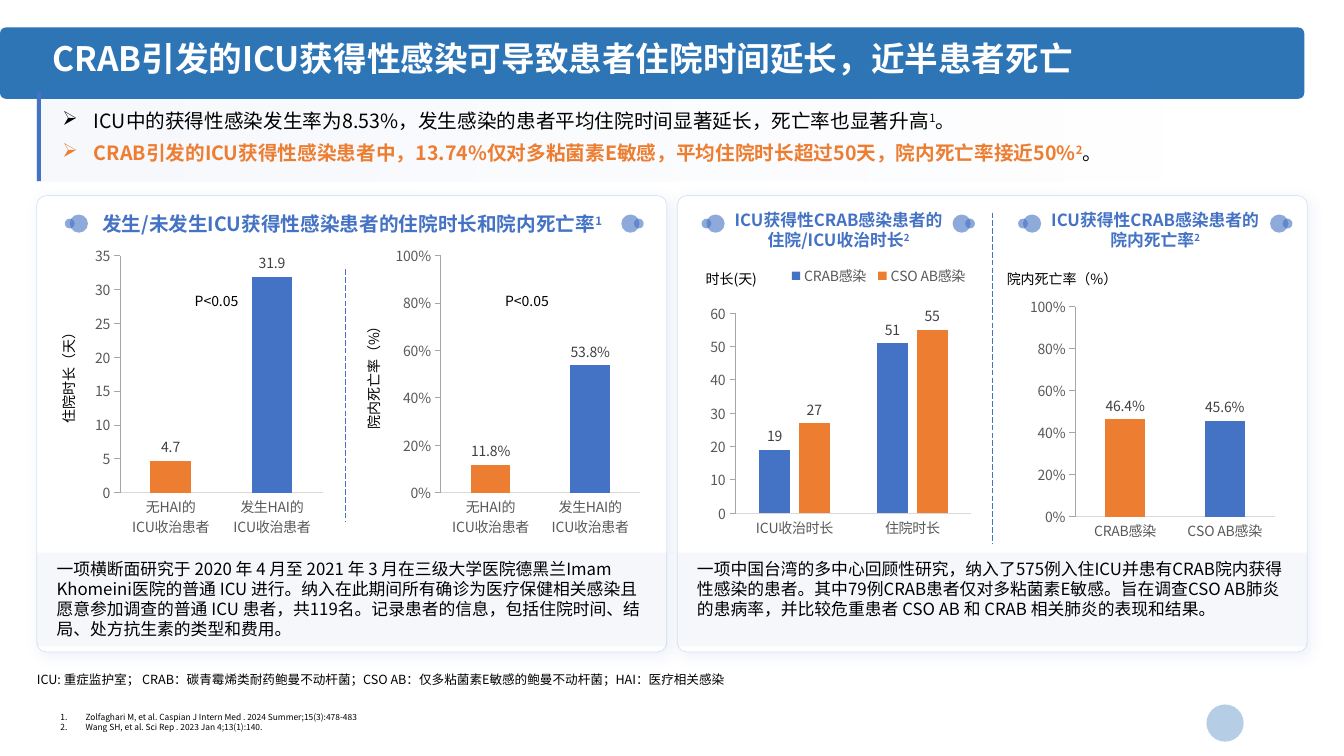
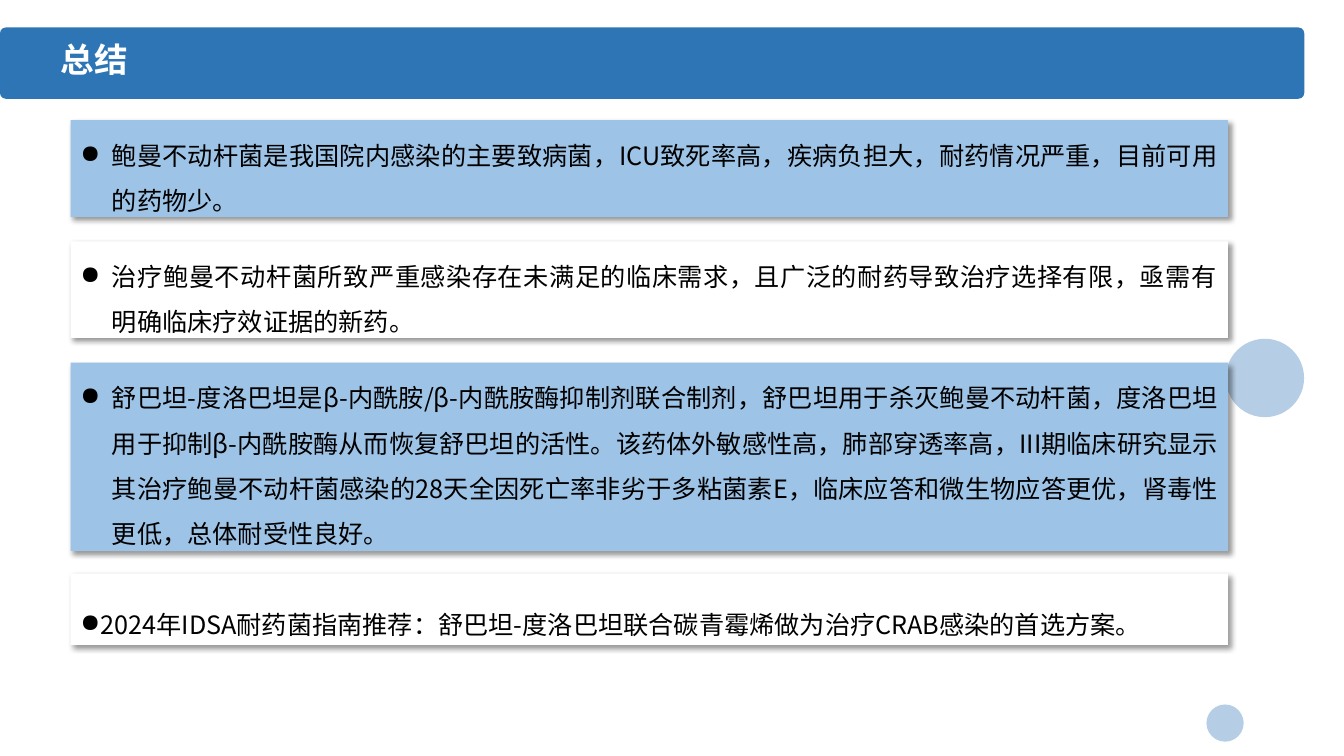
from dataclasses import dataclass
from typing import NamedTuple

from lxml.etree import SubElement
from pptx import Presentation
from pptx.chart.data import CategoryChartData
from pptx.dml.color import RGBColor
from pptx.enum.chart import XL_CHART_TYPE, XL_LABEL_POSITION, XL_LEGEND_POSITION, XL_TICK_MARK
from pptx.enum.dml import MSO_LINE
from pptx.enum.shapes import MSO_CONNECTOR, MSO_SHAPE
from pptx.enum.text import MSO_ANCHOR, MSO_AUTO_SIZE, PP_ALIGN
from pptx.oxml.ns import qn
from pptx.util import Pt


@dataclass(frozen=True)
class Theme:
    font: str = "Noto Sans CJK SC"
    header: str = "2E75B6"
    blue: str = "4472C4"
    orange: str = "ED7D31"
    pale_blue: str = "9DC3E6"
    card_line: str = "DAE3F3"
    white: str = "FFFFFF"
    black: str = "000000"
    label: str = "404040"
    axis_text: str = "595959"
    value_line: str = "A6A6A6"
    category_line: str = "D9D9D9"
    title_size: int = 24
    summary_size: int = 18
    lead_size: int = 14
    body_size: int = 12
    chart_size: int = 10
    note_size: int = 9
    reference_size: int = 6


THEME = Theme()


class Box(NamedTuple):
    left: float
    top: float
    width: float
    height: float

    def region(self, left, top, width, height):
        """Return a box whose position is measured from this one's corner."""
        return Box(self.left + left, self.top + top, width, height)

    def lengths(self):
        return [Pt(value) for value in self]


def color(code):
    return RGBColor.from_string(code)


def set_alpha(shape, *percents):
    for element, percent in zip(shape._element.spPr.iter(qn("a:srgbClr")), percents):
        SubElement(element, qn("a:alpha"), val=str(percent * 1000))


def add_panel(slide, box, fill, kind=MSO_SHAPE.RECTANGLE, alpha=None, line=None, radius=None, shadow=None):
    """Add a filled shape; shadow is (colour, opacity, blur, distance)."""
    shape = slide.shapes.add_shape(kind, *box.lengths())
    shape.fill.solid()
    shape.fill.fore_color.rgb = color(fill)
    if radius is not None:
        shape.adjustments[0] = radius
    if line:
        shape.line.color.rgb = color(line)
        shape.line.width = Pt(0.5)
    else:
        shape.line.fill.background()
    if alpha is not None:
        set_alpha(shape, alpha)
    shape.shadow.inherit = False
    if shadow:
        tint, opacity, blur, distance = shadow
        effects = shape._element.spPr.find(qn("a:effectLst"))
        outer = SubElement(effects, qn("a:outerShdw"), blurRad=str(Pt(blur)), dist=str(Pt(distance)),
                           dir="2700000", algn="tl", rotWithShape="0")
        tint_element = SubElement(outer, qn("a:srgbClr"), val=tint)
        SubElement(tint_element, qn("a:alpha"), val=str(opacity * 1000))
    return shape


def set_bullet(paragraph, bullet, indent):
    properties = paragraph._p.get_or_add_pPr()
    properties.set("marL", str(Pt(indent)))
    properties.set("indent", str(Pt(-indent)))
    if bullet == "1.":
        SubElement(properties, qn("a:buAutoNum"), type="arabicPeriod")
    else:
        SubElement(properties, qn("a:buChar"), char=bullet)


def write(frame, paragraphs, size, ink=THEME.black, bold=False, align=PP_ALIGN.LEFT, spacing=None,
          after=None, bullet=None, indent=0, anchor=MSO_ANCHOR.TOP, wrap=True, grow=False, inset=True):
    """Fill a frame; a paragraph is a string or a list of strings and (string, changes) runs."""
    frame.word_wrap = wrap
    frame.auto_size = MSO_AUTO_SIZE.SHAPE_TO_FIT_TEXT if grow else MSO_AUTO_SIZE.NONE
    frame.vertical_anchor = anchor
    if not inset:
        frame.margin_left = frame.margin_right = frame.margin_top = frame.margin_bottom = 0
    for index, content in enumerate(paragraphs):
        paragraph = frame.add_paragraph() if index else frame.paragraphs[0]
        if bullet:
            set_bullet(paragraph, bullet, indent)
        paragraph.alignment = align
        if spacing:
            paragraph.line_spacing = spacing
        if after:
            paragraph.space_after = Pt(after)
        for item in [content] if isinstance(content, str) else content:
            text, changes = (item, {}) if isinstance(item, str) else item
            run = paragraph.add_run()
            run.text = text
            run.font.size = Pt(size)
            run.font.bold = changes.get("bold", bold)
            run.font.color.rgb = color(changes.get("ink", ink))
            run.font.name = THEME.font
            properties = run._r.get_or_add_rPr()
            SubElement(properties, qn("a:ea"), typeface=THEME.font)
            if changes.get("raised"):
                properties.set("baseline", "30000")


def add_text(slide, box, paragraphs, rotation=0, **text_format):
    shape = slide.shapes.add_textbox(*box.lengths())
    shape.rotation = rotation
    write(shape.text_frame, paragraphs, **text_format)


def raised(text, **changes):
    return text, {"raised": True, **changes}


def add_chart_label(slide, box, text, **text_format):
    add_text(slide, box, [text], size=THEME.chart_size, align=PP_ALIGN.CENTER, grow=True, **text_format)


def add_heading(slide, box, paragraphs, size):
    add_text(slide, box, paragraphs, size=size, ink=THEME.blue, bold=True,
             align=PP_ALIGN.CENTER, wrap=False, grow=True)


def add_dots(slide, card, left, right):
    """Place mirrored pairs of dots on both sides of a heading."""
    for start, large, small in ((left, 3.5, 0), (right, 0, 9)):
        for offset, size in ((large, 13), (small, 7)):
            add_panel(slide, card.region(start + offset, 20 - size / 2, size, size),
                      THEME.blue, MSO_SHAPE.OVAL, alpha=60)


def add_divider(slide, card, x, top, bottom):
    line = slide.shapes.add_connector(MSO_CONNECTOR.STRAIGHT, Pt(card.left + x), Pt(card.top + top),
                                      Pt(card.left + x), Pt(card.top + bottom))
    line.line.color.rgb = color(THEME.blue)
    line.line.width = Pt(0.5)
    line.line.dash_style = MSO_LINE.LONG_DASH
    SubElement(line._element.spPr, qn("a:effectLst"))


def set_layout(element, position, inner=False):
    """Give a plot area or legend a manual layout in fractions of the chart."""
    for old in element.findall(qn("c:layout")):
        element.remove(old)
    layout = SubElement(element, qn("c:layout"))
    manual = SubElement(layout, qn("c:manualLayout"))
    if inner:
        SubElement(manual, qn("c:layoutTarget"), val="inner")
    for name in ("xMode", "yMode"):
        SubElement(manual, qn(f"c:{name}"), val="edge")
    for name, value in zip("xywh", position):
        SubElement(manual, qn(f"c:{name}"), val=str(value))
    element.remove(layout)
    element.insert(0 if inner else 1, layout)


def style_font(font, ink):
    font.name = THEME.font
    font.size = Pt(THEME.chart_size)
    font.color.rgb = color(ink)


def style_axis(axis, tick, line, number_format=None):
    axis.has_major_gridlines = False
    axis.major_tick_mark = tick
    axis.minor_tick_mark = XL_TICK_MARK.NONE
    axis.format.line.color.rgb = color(line)
    axis.format.line.width = Pt(0.75)
    style_font(axis.tick_labels.font, THEME.axis_text)
    if number_format:
        axis.tick_labels.number_format = number_format
        axis.tick_labels.number_format_is_linked = False


def add_columns(slide, box, categories, series, plot, top, step, axis_format="0", label_format="0", legend=None):
    """Add a column chart; one series gets an orange first column, two get a colour each."""
    data = CategoryChartData()
    data.categories = categories
    for name, values in series:
        data.add_series(name, values)
    chart = slide.shapes.add_chart(XL_CHART_TYPE.COLUMN_CLUSTERED, *box.lengths(), data).chart
    chart.has_title = False
    style_font(chart.font, THEME.black)
    style_axis(chart.category_axis, XL_TICK_MARK.NONE, THEME.category_line)
    style_axis(chart.value_axis, XL_TICK_MARK.OUTSIDE, THEME.value_line, axis_format)
    chart.value_axis.minimum_scale = 0
    chart.value_axis.maximum_scale = top
    chart.value_axis.major_unit = step
    columns = chart.plots[0]
    columns.gap_width = 150
    columns.overlap = -27
    columns.vary_by_categories = False
    for item, fill in zip(columns.series, (THEME.blue, THEME.orange)):
        item.format.fill.solid()
        item.format.fill.fore_color.rgb = color(fill)
        labels = item.data_labels
        labels.show_value = True
        labels.position = XL_LABEL_POSITION.OUTSIDE_END
        labels.number_format = label_format
        labels.number_format_is_linked = False
        style_font(labels.font, THEME.label)
    if len(series) == 1:
        first = columns.series[0].points[0].format.fill
        first.solid()
        first.fore_color.rgb = color(THEME.orange)
    set_layout(chart._chartSpace.chart.plotArea, plot, inner=True)
    chart.has_legend = legend is not None
    if legend:
        chart.legend.position = XL_LEGEND_POSITION.TOP
        chart.legend.include_in_layout = False
        style_font(chart.legend.font, THEME.axis_text)
        set_layout(chart.legend._element, legend)


def add_frame(presentation, title, title_box, large_dot=False):
    """Add a slide with the shared header band, title and corner dots."""
    slide = presentation.slides.add_slide(presentation.slide_layouts[6])
    add_panel(slide, Box(0, 19.6, 931.7, 51), THEME.header, MSO_SHAPE.ROUNDED_RECTANGLE, radius=0.085)
    dots = [Box(861.8, 503.2, 26.6, 26.6)]
    if large_dot:
        dots.append(Box(875.5, 242, 56, 56))
    for dot in dots:
        add_panel(slide, dot, THEME.header, MSO_SHAPE.OVAL, alpha=35)
    add_text(slide, title_box, [title], size=THEME.title_size, ink=THEME.white, bold=True,
             spacing=0.9, inset=False)
    return slide


def add_lead(slide, box):
    band = add_panel(slide, box, THEME.blue)
    band.fill.gradient()
    band.fill.gradient_angle = 0
    for stop in band.fill.gradient_stops:
        stop.color.rgb = color(THEME.blue)
    set_alpha(band, 5, 0)
    add_panel(slide, box.region(0, 0, 3, box.height), THEME.blue)
    strong = {"ink": THEME.orange, "bold": True}
    add_text(slide, box.region(11.2, 8.4, 908, 47.5), [
        ["ICU中的获得性感染发生率为8.53%，发生感染的患者平均住院时间显著延长，死亡率也显著升高", raised("1"), "。"],
        [("CRAB引发的ICU获得性感染患者中，13.74%仅对多粘菌素E敏感，平均住院时长超过50天，院内死亡率接近50%", strong),
         raised("2", **strong), "。"],
    ], size=THEME.lead_size, after=6, bullet="➢", indent=22.5)


def add_card(slide, box, summary):
    add_panel(slide, box, THEME.white, MSO_SHAPE.ROUNDED_RECTANGLE, line=THEME.card_line,
              radius=0.021, shadow=(THEME.blue, 10, 10, 3))
    add_panel(slide, box.region(0, 255, box.width, 67), THEME.blue, alpha=5)
    add_text(slide, box.region(7, 255.6, 435, 65.5), [summary], size=THEME.body_size)


def add_infection_card(slide, card):
    add_card(slide, card, "一项横断面研究于 2020 年 4 月至 2021 年 3 月在三级大学医院德黑兰Imam Khomeini医院的普通 ICU 进行。纳入在此期间所有确诊为医疗保健相关感染且愿意参加调查的普通 ICU 患者，共119名。记录患者的信息，包括住院时间、结局、处方抗生素的类型和费用。")
    add_heading(slide, card.region(36.6, 7.9, 377.3, 24.5),
                [["发生/未发生ICU获得性感染患者的住院时长和院内死亡率", raised("1")]], THEME.lead_size)
    categories = ["无HAI的\nICU收治患者", "发生HAI的\nICU收治患者"]
    add_columns(slide, card.region(36.7, 30.2, 170, 230.4), categories, [("住院时长", (4.7, 31.9))],
                (0.134, 0.055, 0.851, 0.736), 35, 5, label_format="0.0")
    add_columns(slide, card.region(243.3, 30.2, 188, 230.4), categories, [("院内死亡率", (0.118, 0.538))],
                (0.241, 0.055, 0.759, 0.736), 1, 0.2, "0%", "0.0%")
    for text, axis_left, value_left in (("住院时长（天）", -56.3, 104.3), ("院内死亡率（%）", 161.2, 326)):
        add_chart_label(slide, card.region(axis_left, 118, 159, 19.4), text, rotation=270)
        add_chart_label(slide, card.region(value_left, 65.5, 48.2, 19.4), "P<0.05", wrap=False)
    add_divider(slide, card, 220.2, 52.6, 232.6)
    add_dots(slide, card, 20, 417.5)


def add_crab_card(slide, card):
    add_card(slide, card, "一项中国台湾的多中心回顾性研究，纳入了575例入住ICU并患有CRAB院内获得性感染的患者。其中79例CRAB患者仅对多粘菌素E敏感。旨在调查CSO AB肺炎的患病率，并比较危重患者 CSO AB 和 CRAB 相关肺炎的表现和结果。")
    groups = ["CRAB感染", "CSO AB感染"]
    add_columns(slide, card.region(18, 38.2, 195, 239), ["ICU收治时长", "住院时长"],
                list(zip(groups, ((19, 51), (27, 55)))), (0.121, 0.192, 0.864, 0.598), 60, 10,
                legend=(0.3, 0.04, 0.69, 0.08))
    add_columns(slide, card.region(239, 44.6, 188, 232.6), groups, [("院内死亡率", (0.464, 0.456))],
                (0.241, 0.149, 0.759, 0.646), 1, 0.2, "0%", "0.0%")
    for measure, left, dots in (("住院/ICU收治时长", 31.7, (17.3, 196.6)), ("院内死亡率", 257.8, (243.4, 423.4))):
        add_heading(slide, card.region(left, 6.5, 167, 36),
                    ["ICU获得性CRAB感染患者的", [measure, raised("2")]], THEME.body_size)
        add_dots(slide, card, *dots)
    for unit, left, width in (("时长(天)", 9.4, 58.3), ("院内死亡率（%）", 227.6, 94.3)):
        add_chart_label(slide, card.region(left, 49.7, width, 19.4), unit, wrap=False)
    add_divider(slide, card, 224.7, 12.2, 248.4)


def add_evidence_slide(presentation):
    slide = add_frame(presentation, "CRAB引发的ICU获得性感染可导致患者住院时间延长，近半患者死亡", Box(37.4, 30.2, 899, 26))
    add_lead(slide, Box(26.3, 66, 908, 63.4))
    add_infection_card(slide, Box(26.3, 139.7, 450, 326))
    add_crab_card(slide, Box(483.8, 139.7, 450, 326))
    add_text(slide, Box(26.3, 480.2, 680, 11),
             ["ICU: 重症监护室； CRAB：碳青霉烯类耐药鲍曼不动杆菌；CSO AB：仅多粘菌素E敏感的鲍曼不动杆菌；HAI：医疗相关感染"],
             size=THEME.note_size, inset=False)
    add_text(slide, Box(43.2, 509.8, 665, 13), [
        "Zolfaghari M, et al. Caspian J Intern Med . 2024 Summer;15(3):478-483",
        "Wang SH, et al. Sci Rep . 2023 Jan 4;13(1):140.",
    ], size=THEME.reference_size, spacing=0.9, bullet="1.", indent=18, inset=False)


def add_summary_slide(presentation):
    slide = add_frame(presentation, "总结", Box(43.2, 31, 899, 26), large_dot=True)
    long_point = {"align": PP_ALIGN.JUSTIFY, "spacing": 1.5, "indent": 22.5}
    last_point = {"anchor": MSO_ANCHOR.BOTTOM}
    points = (
        (85.9, 69, THEME.pale_blue, long_point, "鲍曼不动杆菌是我国院内感染的主要致病菌，ICU致死率高，疾病负担大，耐药情况严重，目前可用的药物少。"),
        (172.4, 69, THEME.white, long_point, "治疗鲍曼不动杆菌所致严重感染存在未满足的临床需求，且广泛的耐药导致治疗选择有限，亟需有明确临床疗效证据的新药。"),
        (259, 134.6, THEME.pale_blue, long_point, "舒巴坦-度洛巴坦是β-内酰胺/β-内酰胺酶抑制剂联合制剂，舒巴坦用于杀灭鲍曼不动杆菌，度洛巴坦用于抑制β-内酰胺酶从而恢复舒巴坦的活性。该药体外敏感性高，肺部穿透率高，III期临床研究显示其治疗鲍曼不动杆菌感染的28天全因死亡率非劣于多粘菌素E，临床应答和微生物应答更优，肾毒性更低，总体耐受性良好。"),
        (409.7, 51, THEME.white, last_point, "2024年IDSA耐药菌指南推荐：舒巴坦-度洛巴坦联合碳青霉烯做为治疗CRAB感染的首选方案。"),
    )
    for top, height, fill, text_format, text in points:
        panel = add_panel(slide, Box(50.4, top, 826.6, height), fill, shadow=(THEME.black, 40, 4, 3))
        write(panel.text_frame, [text], size=THEME.summary_size, bullet="●", **text_format)


def main():
    presentation = Presentation()
    presentation.slide_width, presentation.slide_height = Pt(960), Pt(540)
    add_evidence_slide(presentation)
    add_summary_slide(presentation)
    presentation.save("out.pptx")


if __name__ == "__main__":
    main()
